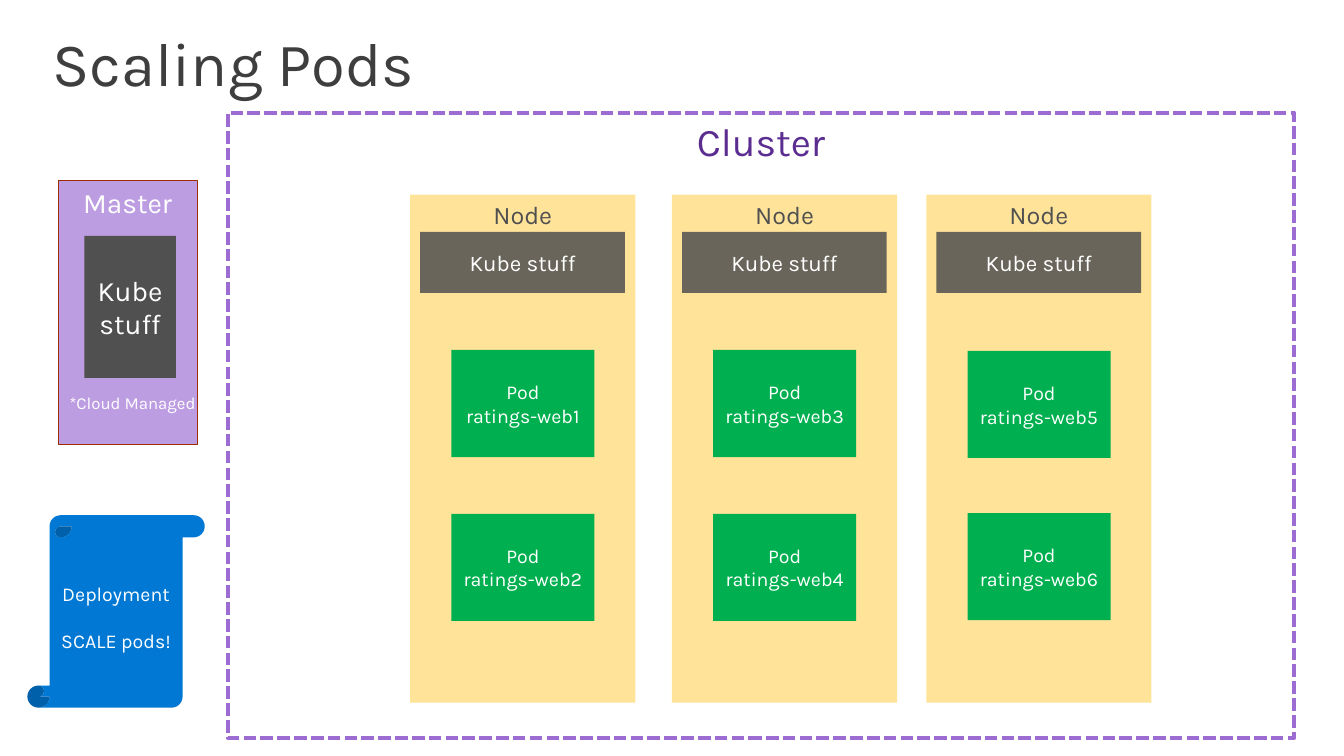
from lxml import etree
from pptx import Presentation
from pptx.dml.color import RGBColor
from pptx.enum.dml import MSO_LINE
from pptx.enum.shapes import MSO_SHAPE
from pptx.enum.text import MSO_ANCHOR, MSO_AUTO_SIZE, PP_ALIGN
from pptx.oxml.ns import qn
from pptx.util import Pt

RECTANGLE, SCROLL = MSO_SHAPE.RECTANGLE, MSO_SHAPE.VERTICAL_SCROLL
TOP, MIDDLE = MSO_ANCHOR.TOP, MSO_ANCHOR.MIDDLE
LEFT, CENTER = PP_ALIGN.LEFT, PP_ALIGN.CENTER
DASH = MSO_LINE.SQUARE_DOT
NO_AUTOFIT = MSO_AUTO_SIZE.NONE
TITLE_ONLY = 5

COLORS = {
    "title": "3E3E3E", "white": "FFFFFF", "gray": "505050",
    "cluster_line": "9C6CD2", "cluster_text": "5C2D91",
    "master": "BD9DE1", "master_line": "A02C01",
    "node": "FFE399", "pod": "00B050", "deployment": "0078D4",
}


class Diagram:
    """Holds the style and the current slide."""

    def __init__(self, slide, font="Karla"):
        self.slide = slide
        self.font = font

    def color(self, name):
        return RGBColor.from_string(COLORS[name])

    def set_text(self, shape, lines, size, color, align=CENTER, anchor=TOP,
                 insets=(0, 3.6), line_spacing=None, gap=0):
        frame = shape.text_frame
        frame.text = "\n".join(lines)
        frame.word_wrap = True
        frame.auto_size = NO_AUTOFIT
        frame.vertical_anchor = anchor
        frame.margin_left = frame.margin_right = Pt(insets[0])
        frame.margin_top = frame.margin_bottom = Pt(insets[1])
        for index, paragraph in enumerate(frame.paragraphs):
            paragraph.alignment = align
            paragraph.line_spacing = line_spacing
            paragraph.space_before = Pt(gap if index else 0)
            paragraph.font.name = self.font
            paragraph.font.size = Pt(size)
            paragraph.font.color.rgb = self.color(color)

    def title(self, box, text):
        shape = self.slide.shapes.title
        shape.left, shape.top, shape.width, shape.height = map(Pt, box)
        self.set_text(shape, [text], 44, "title", LEFT, insets=(0, 0), line_spacing=0.9)

    def label(self, box, text, size, color):
        shape = self.slide.shapes.add_textbox(*map(Pt, box))
        self.set_text(shape, [text], size, color, LEFT, insets=(14.4, 11.5), line_spacing=0.9)

    def block(self, box, lines, size, color="white", fill=None, opacity=100,
              line=None, line_width=1, dash=None, kind=RECTANGLE, **text_style):
        shape = self.slide.shapes.add_shape(kind, *map(Pt, box))
        shape.shadow.inherit = False
        if fill:
            shape.fill.solid()
            shape.fill.fore_color.rgb = self.color(fill)
        else:
            shape.fill.background()
        if opacity < 100:
            fill_color = shape.element.spPr.find(qn("a:solidFill"))[0]
            etree.SubElement(fill_color, qn("a:alpha")).set("val", str(opacity * 1000))
        if line:
            shape.line.color.rgb = self.color(line)
            shape.line.width = Pt(line_width)
            if dash:
                shape.line.dash_style = dash
        else:
            shape.line.fill.background()
        self.set_text(shape, lines, size, color, **text_style)

    def node(self, left, pod_tops, first_pod):
        self.block((left, 139, 160.8, 363), ["Node"], 18, "gray", fill="node")
        self.block((left + 7.2, 165.6, 146.2, 43.7), ["Kube stuff"], 16,
                   fill="gray", opacity=85, anchor=MIDDLE)
        for number, top in enumerate(pod_tops, first_pod):
            self.block((left + 29.4, top, 102.2, 76.5), ["Pod", f"ratings-web{number}"],
                       14, fill="pod", anchor=MIDDLE)


def main():
    presentation = Presentation()
    presentation.slide_width, presentation.slide_height = Pt(960), Pt(540)
    slide = presentation.slides.add_slide(presentation.slide_layouts[TITLE_ONLY])
    diagram = Diagram(slide)
    diagram.title((37.5, 23.8, 820.8, 48.2), "Scaling Pods")

    # Cluster with its nodes and pods
    diagram.block((162.7, 80.6, 761.8, 446.4), ["Cluster"], 28, "cluster_text",
                  line="cluster_line", line_width=3, dash=DASH)
    nodes = [(293, (250, 367)), (480, (250, 367)), (661.7, (250.6, 366.5))]
    for index, (left, pod_tops) in enumerate(nodes):
        diagram.node(left, pod_tops, 2 * index + 1)

    # Master
    diagram.block((41.5, 129, 99.4, 188.3), ["Master"], 20, fill="master",
                  line="master_line", line_width=0.85, insets=(7.2, 3.6))
    diagram.block((60.2, 168.5, 65.5, 101.5), ["Kube stuff"], 20,
                  fill="gray", anchor=MIDDLE)
    diagram.label((35.3, 270.7, 134.6, 36), "*Cloud Managed", 12, "white")

    # Deployment scroll
    diagram.block((19.6, 368, 126.7, 137.5), ["Deployment", "SCALE pods!"], 14,
                  fill="deployment", kind=SCROLL, anchor=MIDDLE, gap=17)

    presentation.save("out.pptx")


if __name__ == "__main__":
    main()
